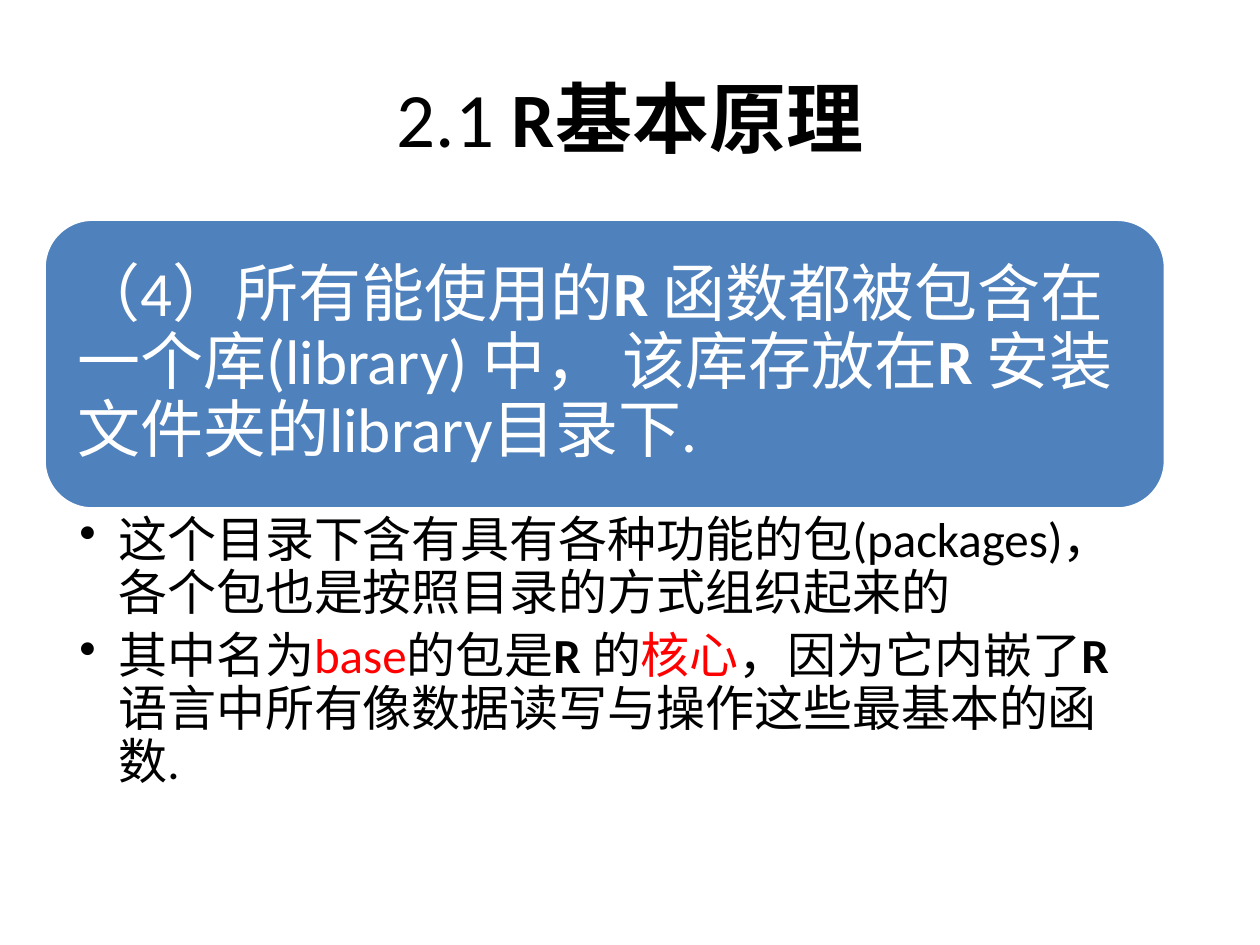
from lxml.etree import SubElement
from pptx import Presentation
from pptx.dml.color import RGBColor
from pptx.enum.shapes import MSO_SHAPE
from pptx.enum.text import MSO_ANCHOR, PP_ALIGN
from pptx.oxml.ns import qn
from pptx.util import Inches, Pt

FONT = "Calibri"
BLACK, WHITE, RED, BLUE = "000000", "FFFFFF", "FF0000", "4F81BD"

# Content: each span is (text, style), style being "", "bold" or "red"
TITLE = [("2.1", ""), (" R基本原理", "bold")]
BANNER = [
    ("（4）所有能使用的", ""),
    ("R ", "bold"),
    ("函数都被包含在一个库(library) 中， 该库存放在", ""),
    ("R ", "bold"),
    ("安装文件夹的library目录下.", ""),
]
BULLETS = [
    [("这个目录下含有具有各种功能的包(packages)，各个包也是按照目录的方式组织起来的", "")],
    [
        ("其中名为", ""),
        ("base", "red"),
        ("的包是", ""),
        ("R ", "bold"),
        ("的", ""),
        ("核心", "red"),
        ("，因为它内嵌了", ""),
        ("R ", "bold"),
        ("语言中所有像数据读写与操作这些最基本的函数.", ""),
    ],
]

# Layout in inches
LEFT, WIDTH = 0.35, 8.9
BANNER_TOP, BANNER_HEIGHT = 1.74, 2.3
BULLETS_HEIGHT = 3.02
HANGING = 0.31


def rgb(value):
    return RGBColor.from_string(value)


def add_spans(para, spans, size, color):
    for text, style in spans:
        span = para.add_run()
        span.text = text
        span.font.name = FONT
        span.font.size = Pt(size)
        span.font.bold = style == "bold"
        span.font.color.rgb = rgb(RED if style == "red" else color)


def set_spacing(para, after):
    para.line_spacing = 0.9
    para.space_after = Pt(after)


def set_margins(frame, side, end):
    frame.word_wrap = True
    frame.margin_left = frame.margin_right = Inches(side)
    frame.margin_top = frame.margin_bottom = Inches(end)


def add_bullet(para):
    properties = para._p.get_or_add_pPr()
    properties.set("marL", str(Inches(HANGING)))
    properties.set("indent", str(-Inches(HANGING)))
    SubElement(properties, qn("a:buChar"), char="•")


deck = Presentation()
deck.slide_width, deck.slide_height = Inches(10), Inches(7.5)
page = deck.slides.add_slide(deck.slide_layouts[5])

# Title
title = page.shapes.title
title.left, title.top = Inches(0.5), Inches(0.3)
title.width, title.height = Inches(9), Inches(1.25)
title.text_frame.vertical_anchor = MSO_ANCHOR.MIDDLE
para = title.text_frame.paragraphs[0]
para.alignment = PP_ALIGN.CENTER
add_spans(para, TITLE, 44, BLACK)

# Banner
banner = page.shapes.add_shape(
    MSO_SHAPE.ROUNDED_RECTANGLE,
    Inches(LEFT), Inches(BANNER_TOP), Inches(WIDTH), Inches(BANNER_HEIGHT),
)
banner.shadow.inherit = False
banner.fill.solid()
banner.fill.fore_color.rgb = rgb(BLUE)
banner.line.color.rgb = rgb(WHITE)
banner.line.width = Pt(2)
set_margins(banner.text_frame, 0.15, 0.15)
banner.text_frame.vertical_anchor = MSO_ANCHOR.MIDDLE
para = banner.text_frame.paragraphs[0]
para.alignment = PP_ALIGN.LEFT
set_spacing(para, 12.6)
add_spans(para, BANNER, 36, WHITE)

# Bullets directly below the banner
box = page.shapes.add_textbox(
    Inches(LEFT), Inches(BANNER_TOP + BANNER_HEIGHT), Inches(WIDTH), Inches(BULLETS_HEIGHT)
)
frame = box.text_frame
set_margins(frame, 0.28, 0.05)
for index, spans in enumerate(BULLETS):
    para = frame.add_paragraph() if index else frame.paragraphs[0]
    para.level = 1
    add_bullet(para)
    set_spacing(para, 5.6)
    add_spans(para, spans, 28, BLACK)

deck.save("out.pptx")
